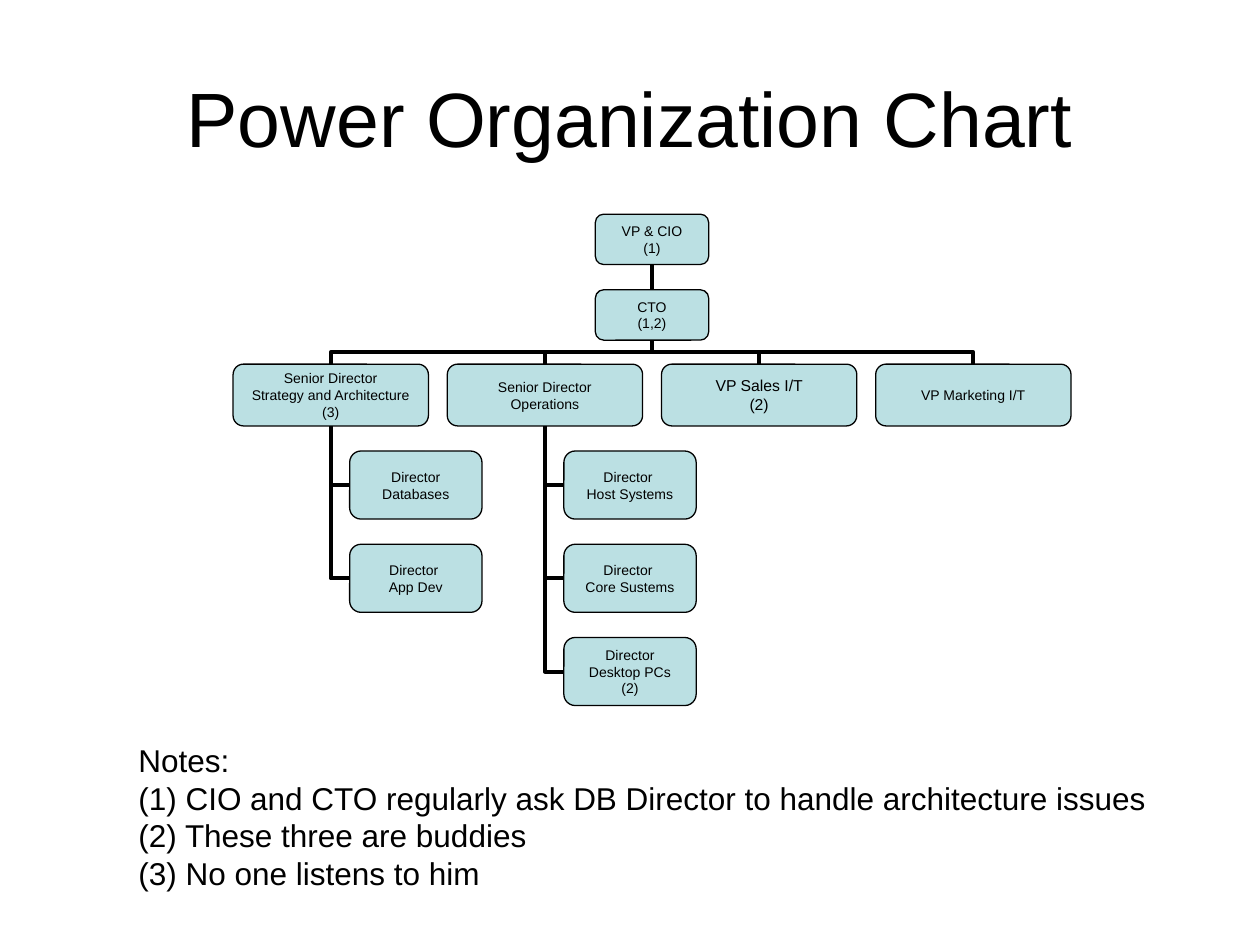
from lxml.etree import SubElement
from pptx import Presentation
from pptx.dml.color import RGBColor
from pptx.enum.shapes import MSO_CONNECTOR, MSO_SHAPE
from pptx.enum.text import MSO_ANCHOR, PP_ALIGN
from pptx.oxml.ns import qn
from pptx.util import Inches, Pt

deck = Presentation()
deck.slide_width, deck.slide_height = Inches(10), Inches(7.5)
slide = deck.slides.add_slide(deck.slide_layouts[5])


def color(hex_value):
    return RGBColor.from_string(hex_value)


def write(frame, text, size, align, margin):
    frame.text = text
    frame.vertical_anchor = MSO_ANCHOR.MIDDLE
    frame.margin_left = frame.margin_right = Inches(margin)
    frame.margin_top = frame.margin_bottom = Inches(margin / 2)
    for paragraph in frame.paragraphs:
        paragraph.alignment = align
        for run in paragraph.runs:
            run.font.name = "Arial"
            run.font.size = Pt(size)
            run.font.color.rgb = color("000000")


# Grid of the chart, in inches
LEFT, COLUMN, LEAD_W, LEAD_H = 1.85, 1.7, 1.55, 0.49
EXEC_W, EXEC_H, STAFF_W, STAFF_H = 0.9, 0.4, 1.05, 0.54
GAP, INDENT = 0.2, 0.15
TOP = 1.7
CTO_TOP = TOP + EXEC_H + GAP
LEAD_TOP = CTO_TOP + EXEC_H + GAP - 0.01
LEAD_BOTTOM = LEAD_TOP + LEAD_H
CENTER = LEFT + (3 * COLUMN + LEAD_W) / 2

# Each lead with text size and direct reports
leads = [
    ("Senior Director\nStrategy and Architecture\n(3)", 8,
     ["Director\nDatabases", "Director \nApp Dev"]),
    ("Senior Director\nOperations", 8,
     ["Director \nHost Systems", "Director \nCore Sustems", "Director\nDesktop PCs\n(2)"]),
    ("VP Sales I/T\n(2)", 9, []),
    ("VP Marketing I/T", 8, []),
]

# Positions: boxes, and elbows as begin, end, geometry and rotation
boxes = [
    (CENTER - EXEC_W / 2, TOP, EXEC_W, EXEC_H, "VP & CIO\n(1)", 8, 0.04),
    (CENTER - EXEC_W / 2, CTO_TOP, EXEC_W, EXEC_H, "CTO\n(1,2)", 8, 0.04),
]
elbows = []
for column, (role, size, reports) in enumerate(leads):
    lead_left = LEFT + column * COLUMN
    trunk = lead_left + LEAD_W / 2
    boxes.append((lead_left, LEAD_TOP, LEAD_W, LEAD_H, role, size, 0.04))

    # A quarter turn makes the elbow run down, across and down
    cto_bottom = CTO_TOP + EXEC_H
    mid_x, mid_y = (CENTER + trunk) / 2, (cto_bottom + LEAD_TOP) / 2
    drop, reach = (LEAD_TOP - cto_bottom) / 2, (trunk - CENTER) / 2
    elbows.append((mid_x - drop, mid_y + reach, mid_x + drop, mid_y - reach,
                   "bentConnector3", 90))

    for row, report in enumerate(reports):
        staff_top = LEAD_BOTTOM + GAP + row * (STAFF_H + GAP)
        boxes.append((trunk + INDENT, staff_top, STAFF_W, STAFF_H, report, 8, 0.08))
        # A half turn makes the elbow run left from the report and up to its lead
        elbows.append((trunk, LEAD_BOTTOM, trunk + INDENT, staff_top + STAFF_H / 2,
                       "bentConnector2", 180))

# Title
title = slide.shapes.title
title.left, title.top, title.width, title.height = map(Inches, (0.5, 0.3, 9, 1.25))
write(title.text_frame, "Power Organization Chart", 44, PP_ALIGN.CENTER, 0.1)

# Connectors, behind the boxes
links = []
for *ends, geometry, turn in elbows:
    elbow = slide.shapes.add_connector(MSO_CONNECTOR.ELBOW, *map(Inches, ends))
    properties = elbow._element.spPr
    properties.find(qn("a:xfrm")).set("rot", str(turn * 60000))
    properties.find(qn("a:prstGeom")).set("prst", geometry)
    links.append(elbow)
chief_link = slide.shapes.add_connector(MSO_CONNECTOR.STRAIGHT, 0, 0, 0, 0)
links.append(chief_link)
for link in links:
    link.line.color.rgb = color("000000")
    link.line.width = Pt(2.25)
    SubElement(link._element.spPr, qn("a:effectLst"))

# Boxes
people = []
for left, top, width, height, role, size, margin in boxes:
    person = slide.shapes.add_shape(
        MSO_SHAPE.ROUNDED_RECTANGLE, *map(Inches, (left, top, width, height)))
    person.shadow.inherit = False
    person.fill.solid()
    person.fill.fore_color.rgb = color("BBE0E3")
    person.line.color.rgb = color("000000")
    person.line.width = Pt(0.75)
    person.text_frame.word_wrap = False
    write(person.text_frame, role, size, PP_ALIGN.CENTER, margin)
    people.append(person)
chief_link.begin_connect(people[0], 2)
chief_link.end_connect(people[1], 0)

# Notes under the chart
notes = slide.shapes.add_textbox(*map(Inches, (1, 5.83, 8.2, 1.3)))
notes.text_frame.word_wrap = False
write(notes.text_frame,
      "Notes:\n"
      "(1) CIO and CTO regularly ask DB Director to handle architecture issues\n"
      "(2) These three are buddies\n"
      "(3) No one listens to him",
      18, PP_ALIGN.LEFT, 0.1)

deck.save("out.pptx")
